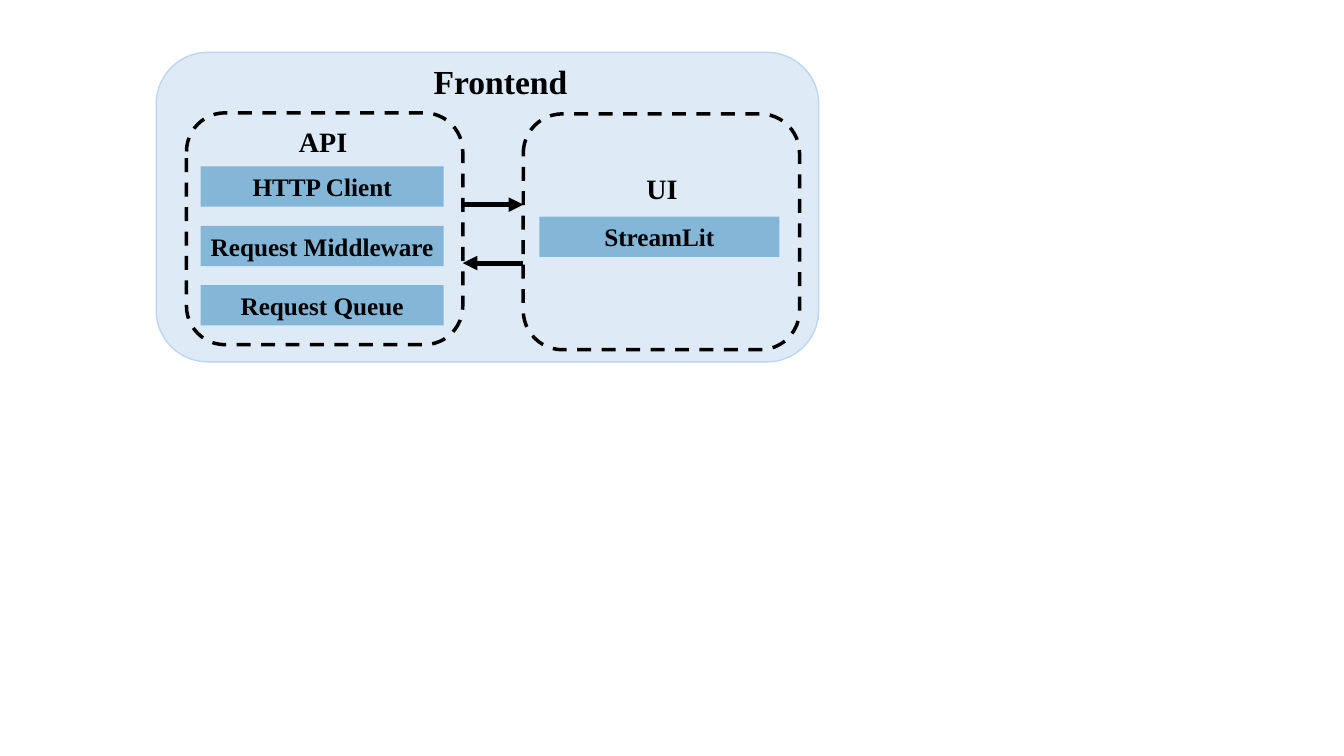
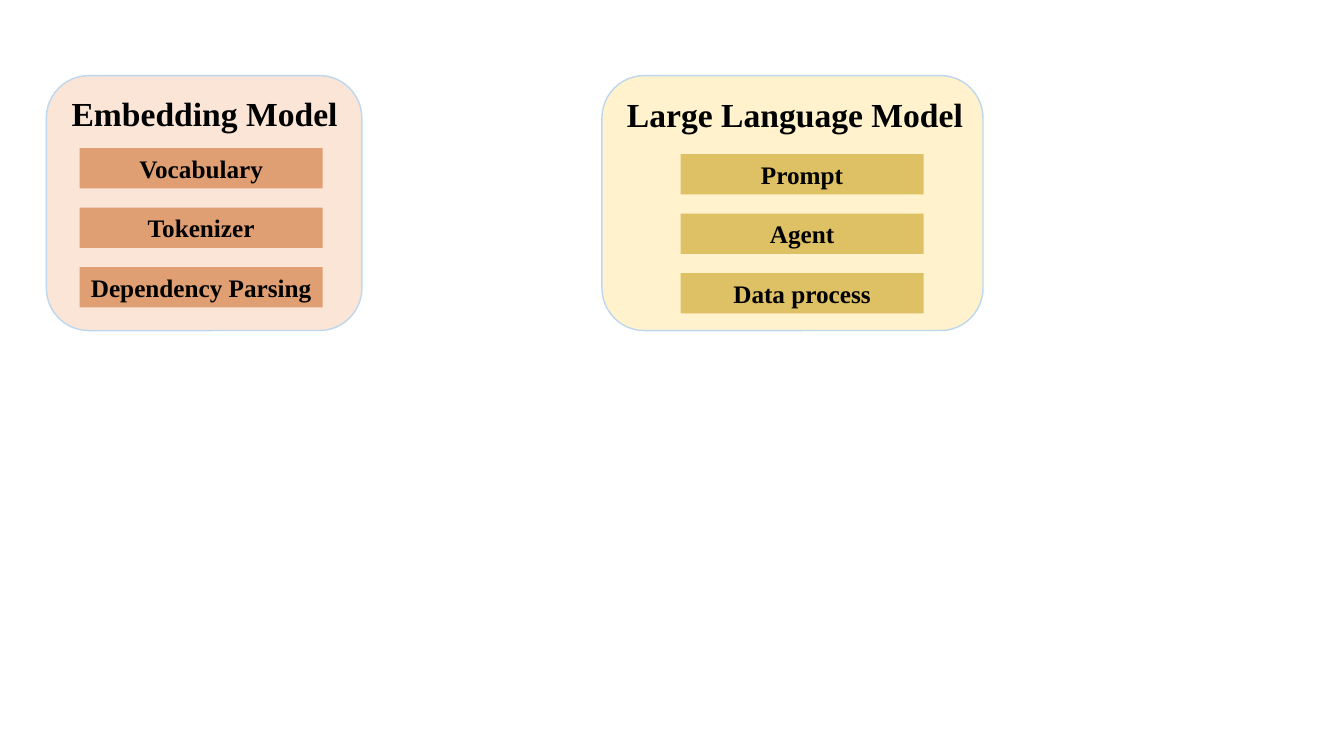
from lxml.etree import SubElement
from pptx import Presentation
from pptx.dml.color import RGBColor
from pptx.enum.dml import MSO_LINE
from pptx.enum.shapes import MSO_CONNECTOR, MSO_SHAPE
from pptx.enum.text import MSO_ANCHOR, MSO_AUTO_SIZE, PP_ALIGN
from pptx.oxml.ns import qn
from pptx.util import Inches, Pt

FONT = "Times New Roman"
BLACK = RGBColor(0x00, 0x00, 0x00)
PANEL_LINE = RGBColor(0xBD, 0xD7, 0xEE)
PALE_BLUE = RGBColor(0xDE, 0xEB, 0xF7)
PALE_ORANGE = RGBColor(0xFB, 0xE5, 0xD6)
PALE_YELLOW = RGBColor(0xFF, 0xF2, 0xCC)
BLUE = RGBColor(0x2B, 0x83, 0xB9)
ORANGE = RGBColor(0xC5, 0x5A, 0x11)
GOLD = RGBColor(0xBF, 0x90, 0x00)

TITLE_ONLY = 5
BAR_WIDTH, BAR_HEIGHT, BAR_PITCH = 2.41, 0.4, 0.59


def write(box, text, size=18, align=PP_ALIGN.CENTER, anchor=MSO_ANCHOR.MIDDLE, wrap=True):
    """Put one bold line of text into a box."""
    frame = box.text_frame
    frame.auto_size = MSO_AUTO_SIZE.NONE
    frame.word_wrap = wrap
    frame.vertical_anchor = anchor
    para = frame.paragraphs[0]
    para.alignment = align
    span = para.add_run()
    span.text = text
    span.font.name = FONT
    span.font.size = Pt(size)
    span.font.bold = True
    span.font.color.rgb = BLACK


class Diagram:
    """Holds the deck, the current page and the shapes being drawn into."""

    def __init__(self):
        self.deck = Presentation()
        self.deck.slide_width = Inches(13.33)
        self.deck.slide_height = Inches(7.5)

    def new_page(self):
        self.page = self.deck.slides.add_slide(self.deck.slide_layouts[TITLE_ONLY])
        self.shapes = self.page.shapes

    def start_group(self):
        self.shapes = self.page.shapes.add_group_shape().shapes

    def end_group(self):
        self.shapes = self.page.shapes

    def shape(self, kind, left, top, width, height):
        box = self.shapes.add_shape(
            kind, Inches(left), Inches(top), Inches(width), Inches(height))
        box.shadow.inherit = False
        return box

    def panel(self, left, top, width, height, color):
        box = self.shape(MSO_SHAPE.ROUNDED_RECTANGLE, left, top, width, height)
        box.fill.solid()
        box.fill.fore_color.rgb = color
        box.line.color.rgb = PANEL_LINE
        box.line.width = Pt(1)

    def dashed_frame(self, left, top, width, height):
        box = self.shape(MSO_SHAPE.ROUNDED_RECTANGLE, left, top, width, height)
        box.fill.background()
        box.line.color.rgb = BLACK
        box.line.width = Pt(2.5)
        box.line.dash_style = MSO_LINE.DASH

    def title(self, text, left, top, width):
        box = self.page.shapes.title
        box.left, box.top = Inches(left), Inches(top)
        box.width, box.height = Inches(width), Inches(0.5)
        write(box, text, size=24, align=PP_ALIGN.LEFT, anchor=MSO_ANCHOR.TOP)
        # Bring the title in front of its panel
        box.element.getparent().append(box.element)

    def label(self, text, left, top, width, height, **style):
        box = self.shapes.add_textbox(
            Inches(left), Inches(top), Inches(width), Inches(height))
        write(box, text, anchor=MSO_ANCHOR.TOP, **style)

    def bars(self, texts, left, top, color, width=BAR_WIDTH):
        """Stack half-transparent bars at an equal pitch."""
        for row, text in enumerate(texts):
            box = self.shape(
                MSO_SHAPE.RECTANGLE, left, top + row * BAR_PITCH, width, BAR_HEIGHT)
            box.fill.solid()
            box.fill.fore_color.rgb = color
            tint = box.element.spPr.find(qn("a:solidFill")).find(qn("a:srgbClr"))
            SubElement(tint, qn("a:alpha"), val="50000")
            box.line.fill.background()
            write(box, text, wrap=False)

    def arrow(self, start, end, height):
        line = self.shapes.add_connector(
            MSO_CONNECTOR.STRAIGHT,
            Inches(start), Inches(height), Inches(end), Inches(height))
        line.line.color.rgb = BLACK
        line.line.width = Pt(3.5)
        SubElement(line.line._get_or_add_ln(), qn("a:tailEnd"), type="triangle")
        SubElement(line.element.spPr, qn("a:effectLst"))


def frontend_page(diagram):
    diagram.new_page()
    diagram.panel(1.55, 0.52, 6.57, 3.07, PALE_BLUE)
    diagram.title("Frontend", 4.2, 0.55, 1.69)

    # UI block
    diagram.start_group()
    diagram.dashed_frame(5.19, 1.13, 2.74, 2.34)
    diagram.bars(["StreamLit"], 5.35, 2.15, BLUE, width=2.38)
    diagram.label("UI", 5.89, 1.65, 1.35, 0.44, size=20)

    # API block
    diagram.start_group()
    diagram.dashed_frame(1.85, 1.12, 2.74, 2.3)
    diagram.bars(["HTTP Client", "Request Middleware", "Request Queue"], 1.99, 1.65, BLUE)
    diagram.label("API", 2.53, 1.19, 1.35, 0.44, size=20)
    diagram.end_group()

    # Exchange between the blocks
    diagram.arrow(4.59, 5.19, 2.03)
    diagram.arrow(5.19, 4.59, 2.61)


def models_page(diagram):
    diagram.new_page()

    # Embedding model
    diagram.panel(0.46, 0.75, 3.13, 2.53, PALE_ORANGE)
    diagram.title("Embedding Model", 0.61, 0.87, 3.36)
    diagram.bars(["Vocabulary", "Tokenizer", "Dependency Parsing"], 0.79, 1.47, ORANGE)

    # Large language model
    diagram.panel(5.97, 0.75, 3.78, 2.53, PALE_YELLOW)
    diagram.label("Large Language Model", 6.12, 0.88, 3.66, 0.5,
                  size=24, align=PP_ALIGN.LEFT)
    diagram.bars(["Prompt", "Agent", "Data process"], 6.75, 1.53, GOLD)


def main():
    diagram = Diagram()
    frontend_page(diagram)
    models_page(diagram)
    diagram.deck.save("out.pptx")


if __name__ == "__main__":
    main()
